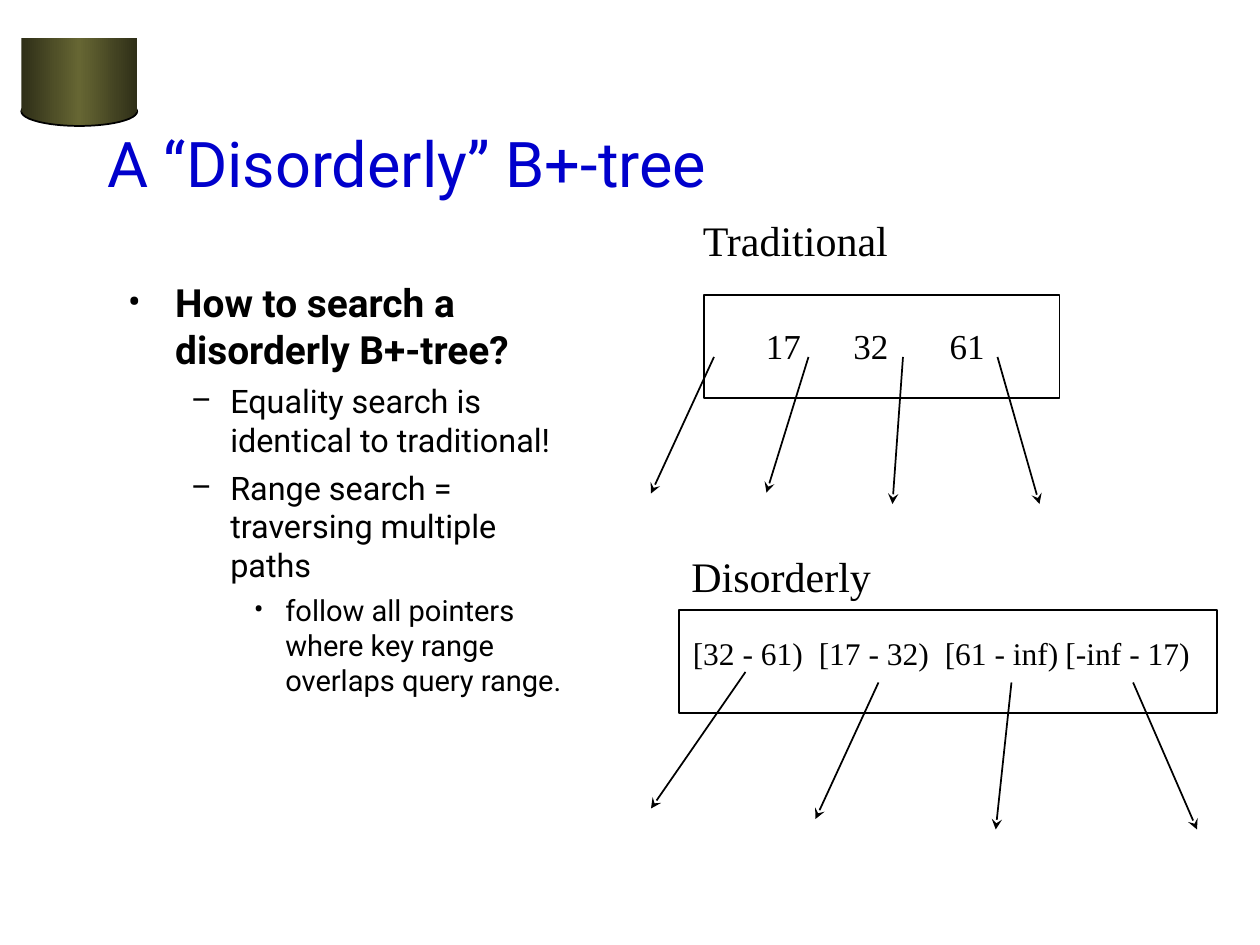
from copy import deepcopy

from lxml import etree
from pptx import Presentation
from pptx.dml.color import RGBColor
from pptx.enum import shapes, text
from pptx.oxml import ns
from pptx.util import Pt

BLACK = RGBColor(0, 0, 0)
BLUE = RGBColor(0x00, 0x00, 0xCC)
DARK_OLIVE = RGBColor(0x2F, 0x2F, 0x18)
OLIVE = RGBColor(0x66, 0x66, 0x33)
SANS, SERIF = "Roboto", "Times New Roman"


def add_span(para, words, size, face, color=BLACK, bold=False):
    span = para.add_run()
    span.text = words
    span.font.size = Pt(size)
    span.font.name = face
    span.font.color.rgb = color
    span.font.bold = bold


def add_child(parent, tag, **attributes):
    child = etree.SubElement(parent, ns.qn(tag))
    for name, value in attributes.items():
        child.set(name, str(value))
    return child


deck = Presentation()
deck.slide_width, deck.slide_height = Pt(720), Pt(540)
page = deck.slides.add_slide(deck.slide_layouts.get_by_name("Title Only"))

# Cylinder in the corner: a rounded base behind a straight side
for kind, top, height in (
    (shapes.MSO_SHAPE.OVAL, 55.4, 16.6),
    (shapes.MSO_SHAPE.RECTANGLE, 21.6, 42.5),
):
    part = page.shapes.add_shape(kind, Pt(12.2), Pt(top), Pt(66.2), Pt(height))
    part.shadow.inherit = False
    part.fill.gradient()
    part.fill.gradient_angle = 0
    stop_list = part._element.spPr.find(ns.qn("a:gradFill")).find(ns.qn("a:gsLst"))
    stop_list.append(deepcopy(stop_list[-1]))
    for stop, position, color in zip(
        part.fill.gradient_stops, (0, 0.5, 1), (DARK_OLIVE, OLIVE, DARK_OLIVE)
    ):
        stop.position = position
        stop.color.rgb = color
    if kind == shapes.MSO_SHAPE.OVAL:
        part.line.color.rgb = BLACK
        part.line.width = Pt(1)
    else:
        part.line.fill.background()

title = page.shapes.title
title.left, title.top, title.width, title.height = Pt(54), Pt(48), Pt(612), Pt(90)
title.text_frame.vertical_anchor = text.MSO_ANCHOR.MIDDLE
title_para = title.text_frame.paragraphs[0]
title_para.alignment = text.PP_ALIGN.LEFT
add_span(title_para, "A “Disorderly” B+-tree", 36, SANS, BLUE)

# Outline: level, text, size, space before
outline = [
    (0, "How to search a disorderly B+-tree?", 22.2, 0),
    (1, "Equality search is identical to traditional!", 18.5, 5),
    (1, "Range search = traversing multiple paths", 18.5, 5),
    (2, "follow all pointers where key range overlaps query range.", 16.6, 4.5),
]
level_marks = [("•", 27, 27), ("–", 58.5, 22.5), ("•", 90, 18)]
body = page.shapes.add_textbox(Pt(66), Pt(156), Pt(264), Pt(321))
body.text_frame.word_wrap = True
for index, (level, words, size, before) in enumerate(outline):
    para = body.text_frame.paragraphs[0] if index == 0 else body.text_frame.add_paragraph()
    mark, indent, hang = level_marks[level]
    para.level = level
    para.space_before = Pt(before)
    props = para._p.get_or_add_pPr()
    props.set("marL", str(Pt(indent)))
    props.set("indent", str(-Pt(hang)))
    bullet_color = add_child(props, "a:buClr")
    add_child(bullet_color, "a:srgbClr", val=BLACK)
    add_child(props, "a:buFont", typeface=SANS)
    add_child(props, "a:buChar", char=mark)
    add_span(para, words, size, SANS, bold=level == 0)

# Tree nodes: frame, then child pointers as (from x, from y, to x, to y)
nodes = [
    ((402.5, 168.5, 203, 59), [
        (408, 204, 372, 282),
        (462, 204, 438, 281.5),
        (516, 204, 510, 288),
        (570, 204, 594, 288),
    ]),
    ((388, 348.5, 307.5, 59), [
        (426, 384, 372, 462),
        (502, 390, 466, 468),
        (578, 390, 569, 474),
        (647.5, 390, 684, 474),
    ]),
]
for frame, pointers in nodes:
    node = page.shapes.add_shape(shapes.MSO_SHAPE.RECTANGLE, *map(Pt, frame))
    node.shadow.inherit = False
    node.fill.background()
    node.line.color.rgb = BLACK
    node.line.width = Pt(1)
    for ends in pointers:
        pointer = page.shapes.add_connector(shapes.MSO_CONNECTOR.STRAIGHT, *map(Pt, ends))
        pointer.line.color.rgb = BLACK
        pointer.line.width = Pt(1)
        add_child(pointer.line._get_or_add_ln(), "a:tailEnd", type="stealth")
        add_child(pointer._element.spPr, "a:effectLst")

# Labels: place, text, size, tab stops that line up the keys
labels = [
    ((388.8, 358.5, 313, 29), "[32 - 61)\t[17 - 32)\t[61 - inf)\t[-inf - 17)", 18, (72, 144, 213)),
    ((394.5, 119, 121, 36), "Traditional", 24, ()),
    ((388, 311, 117.5, 36), "Disorderly", 24, ()),
    ((430.5, 182, 140, 31), "17\t32\t61", 20, (50, 105)),
]
for place, words, size, stops in labels:
    label = page.shapes.add_textbox(*map(Pt, place))
    label.text_frame.word_wrap = True
    para = label.text_frame.paragraphs[0]
    if stops:
        tabs = add_child(para._p.get_or_add_pPr(), "a:tabLst")
        for stop in stops:
            add_child(tabs, "a:tab", pos=Pt(stop), algn="l")
    add_span(para, words, size, SERIF)

deck.save("out.pptx")
